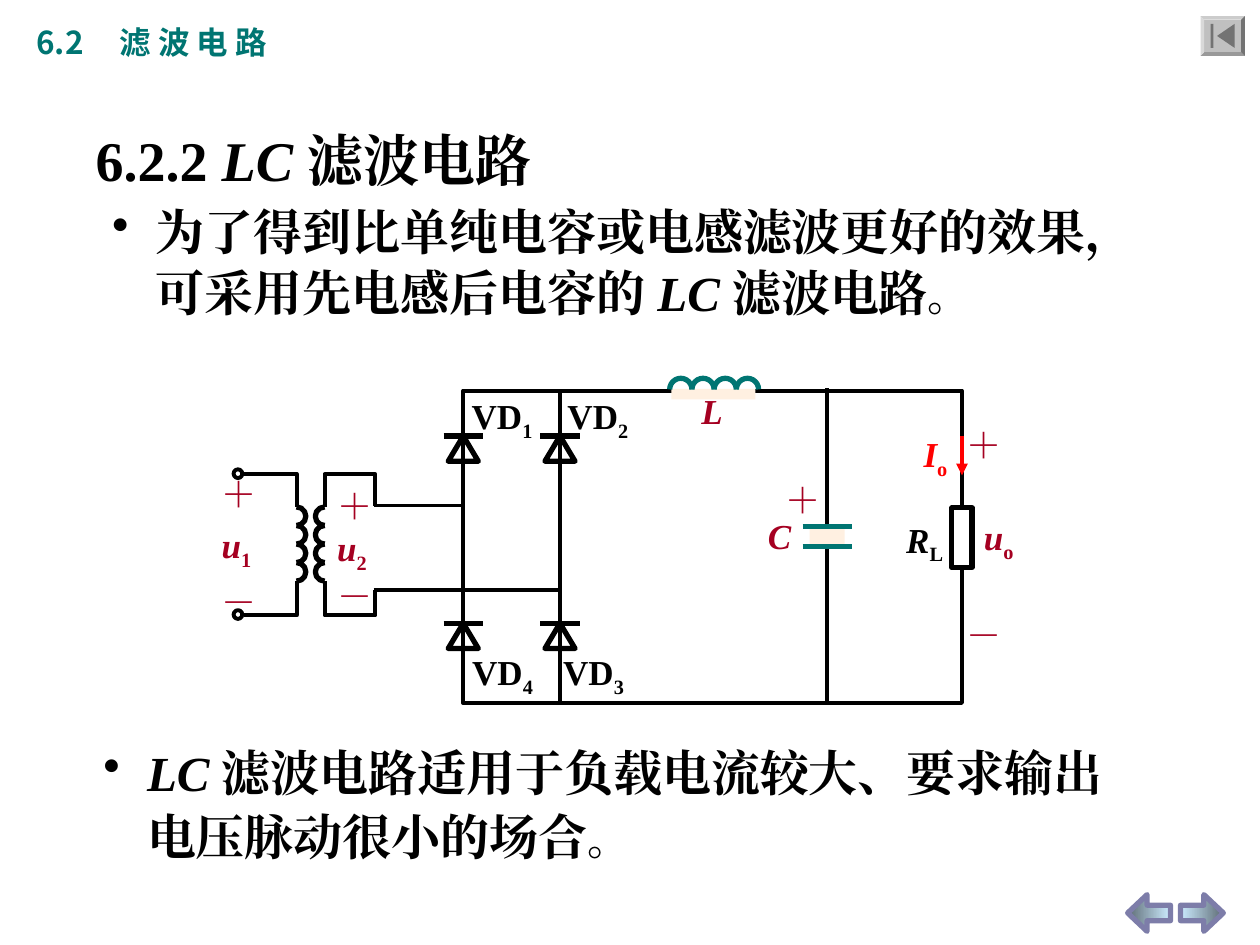
from lxml import etree
from pptx import Presentation
from pptx.dml.color import RGBColor
from pptx.enum.shapes import MSO_CONNECTOR, MSO_SHAPE
from pptx.enum.text import MSO_ANCHOR
from pptx.oxml.ns import qn
from pptx.util import Pt

BLACK, CRIMSON, RED, TEAL, CREAM = "000000", "A50021", "FF0000", "007572", "FFF0E1"
SERIF, SANS = "Times New Roman", "Noto Sans CJK SC"
ITALIC, SUB = {"italic": True}, {"sub": True}
# Start and end angles of half circles, in units of 1/600 degree times 1000
RIGHT_HALF, LEFT_HALF, TOP_HALF = (162, 54), (54, 162), (108, 0)


def rgb(hex_color):
    return RGBColor.from_string(hex_color)


def add_text(slide, box, paragraphs, size=20, color=BLACK, font=SERIF, gap=0,
             indents=None, bullet=False, tab=None, anchor=MSO_ANCHOR.TOP):
    """Each paragraph is a list of (text, format) runs; gap separates paragraphs."""
    frame = slide.shapes.add_textbox(*map(Pt, box)).text_frame
    frame.word_wrap = False
    frame.vertical_anchor = anchor
    for index, runs in enumerate(paragraphs):
        paragraph = frame.paragraphs[0] if index == 0 else frame.add_paragraph()
        if index:
            paragraph.space_before = Pt(gap)
        props = paragraph._p.get_or_add_pPr()
        if indents:
            props.set("marL", str(Pt(indents[index])))
        if bullet and index == 0:
            props.set("indent", str(-Pt(indents[0])))
            etree.SubElement(props, qn("a:buChar"), char="•")
        if tab:
            stops = etree.SubElement(props, qn("a:tabLst"))
            etree.SubElement(stops, qn("a:tab"), pos=str(Pt(tab)), algn="l")
        for words, style in runs:
            run = paragraph.add_run()
            run.text = words
            run.font.size = Pt(style.get("size", size))
            run.font.bold = True
            run.font.italic = style.get("italic", False)
            run.font.color.rgb = rgb(color)
            run.font.name = font
            run_props = run.font._element
            etree.SubElement(run_props, qn("a:ea"), typeface=font)
            if style.get("sub"):
                run_props.set("baseline", "-25000")


def add_shape(slide, kind, box, fill=None, line=None, width=3, adjust=()):
    shape = slide.shapes.add_shape(kind, *map(Pt, box))
    shape.shadow.inherit = False
    for index, value in enumerate(adjust):
        shape.adjustments[index] = value
    paint(shape, fill, line, width)
    return shape


def paint(shape, fill, line, width):
    if fill:
        shape.fill.solid()
        shape.fill.fore_color.rgb = rgb(fill)
    else:
        shape.fill.background()
    if line:
        shape.line.color.rgb = rgb(line)
        shape.line.width = Pt(width)
    else:
        shape.line.fill.background()


def add_line(slide, start, end, color=BLACK, width=2.25, arrow=False):
    line = slide.shapes.add_connector(MSO_CONNECTOR.STRAIGHT, *map(Pt, (*start, *end)))
    line.line.color.rgb = rgb(color)
    line.line.width = Pt(width)
    if arrow:
        etree.SubElement(line.line._get_or_add_ln(), qn("a:tailEnd"), type="triangle")
    etree.SubElement(line._element.spPr, qn("a:effectLst"))


def add_wire(slide, points):
    first, *rest = [(Pt(x), Pt(y)) for x, y in points]
    builder = slide.shapes.build_freeform(*first)
    builder.add_line_segments(rest, close=False)
    wire = builder.convert_to_shape()
    wire.shadow.inherit = False
    paint(wire, None, BLACK, 2.25)


def add_coil(slide, left, top, turn, step, half, color):
    """Four half circles of diameter turn, each moved on by step = (dx, dy)."""
    for n in range(4):
        add_shape(slide, MSO_SHAPE.ARC,
                  (left + n * step[0], top + n * step[1], turn, turn),
                  line=color, adjust=half)


def add_polarity(slide, box, subscript, gap, indent=0):
    add_text(slide, box, [[("＋", {})], [("u", ITALIC), (subscript, SUB)], [("－", {})]],
             color=CRIMSON, gap=gap, indents=(0, indent, 0))


def add_transformer(slide, left, top):
    coil_top, turn = top + 23.5, 10.6
    coil_end = coil_top + 4 * turn
    upper, lower = top + 4.7, top + 85.4
    primary, secondary, outlet = left + 50, left + 66, left + 95
    for y in (upper - 2.7, lower - 2.9):
        add_shape(slide, MSO_SHAPE.OVAL, (left + 14, y, 5, 5), line=BLACK, width=2.25)
    for y, coil_y in ((upper, coil_top), (lower, coil_end)):
        add_wire(slide, [(left + 19.7, y), (primary, y), (primary, coil_y)])
    for y, coil_y, lead_y, lead_end in ((upper, coil_top, top + 22.7, left + 145),
                                        (lower, coil_end, top + 71, left + 200.3)):
        add_wire(slide, [(outlet, lead_y), (outlet, y), (secondary, y), (secondary, coil_y)])
        add_line(slide, (outlet - 1, lead_y), (lead_end, lead_y))
    for x, half in ((primary, RIGHT_HALF), (secondary, LEFT_HALF)):
        add_coil(slide, x - turn / 2, coil_top, turn, (0, turn), half, BLACK)
    add_polarity(slide, (left, top + 0.5, 34.5, 93), "1", 5)
    add_polarity(slide, (left + 66, top + 7, 34.5, 83), "2", 0)


def add_bridge(slide, left, top, height):
    branch = left + 55.3
    add_line(slide, (branch, top), (branch, top + height))
    for x in (left, branch):
        for y in (top + 26, top + 133):
            add_line(slide, (x - 11.2, y), (x + 11.2, y), width=3)
            add_shape(slide, MSO_SHAPE.ISOSCELES_TRIANGLE, (x - 8.6, y, 17.2, 14.4), line=BLACK)
    for number, dx, dy in (("1", -2.3, -1.3), ("2", 52.5, -1.3),
                           ("3", 50, 145), ("4", -2, 145)):
        add_text(slide, (left + dx, top + dy, 49, 34.5), [[("VD", {}), (number, SUB)]])


def add_inductor(slide, left, top):
    turn = 12.7
    add_text(slide, (left + 11, top + 3, 31.7, 31.7), [[("L", ITALIC)]], color=CRIMSON)
    add_shape(slide, MSO_SHAPE.RECTANGLE, (left + 1, top + 6, 48, 6), fill=CREAM)
    add_coil(slide, left, top, turn, (turn, 0), TOP_HALF, TEAL)


def add_capacitor(slide, center, top, height):
    upper, lower = top + 79, top + 90.5
    add_line(slide, (center, top), (center, top + height))
    add_shape(slide, MSO_SHAPE.RECTANGLE, (center - 10, upper, 20, lower - upper), fill=CREAM)
    for y in (upper, lower):
        add_line(slide, (center - 14, y), (center + 14, y), TEAL, 3)
    add_text(slide, (center - 41, top + 68.3, 32.4, 31.7), [[("C", ITALIC)]], color=CRIMSON)
    add_text(slide, (center - 31, top + 48.2, 34.5, 31.7), [[("＋", {})]], color=CRIMSON)


def add_load(slide, center, top):
    add_shape(slide, MSO_SHAPE.RECTANGLE, (center - 5.8, top + 67, 11.6, 34),
              fill="FFFFFF", line=BLACK)
    add_line(slide, (center, top + 26), (center, top + 48.5), RED, arrow=True)
    add_text(slide, (center - 29, top + 20.3, 28, 34.5), [[("I", ITALIC), ("o", SUB)]], color=RED)
    add_text(slide, (center - 39, top + 69.3, 35.3, 34.5), [[("R", ITALIC), ("L", SUB)]])
    add_polarity(slide, (center - 4.5, top + 15.3, 44, 140), "o", 28.5, indent=10)


def add_circuit(slide, box):
    left, top, width, height = box
    add_shape(slide, MSO_SHAPE.RECTANGLE, box, line=BLACK, width=2.25)
    add_transformer(slide, left - 145.2, top + 43)
    add_bridge(slide, left, top, height)
    add_inductor(slide, left + 118, top - 7)
    add_capacitor(slide, left + 208, top - 1.3, height + 2.6)
    add_load(slide, left + width, top)


def add_navigation(slide, left, top):
    for kind, x, angle in ((MSO_SHAPE.RIGHT_ARROW, left + 30.2, 180),
                           (MSO_SHAPE.LEFT_ARROW, left, 0)):
        arrow = add_shape(slide, kind, (x, top, 24.5, 21), line="7D7DA9", adjust=(0.42, 0.53))
        arrow.fill.gradient()
        arrow.fill.gradient_angle = angle
        for stop, color, place in zip(arrow.fill.gradient_stops, ("5E6C75", "CCECFF"), (0, 1)):
            stop.color.rgb = rgb(color)
            stop.position = place


def add_start_button(slide, box):
    left, top, width, height = box
    add_shape(slide, MSO_SHAPE.BEVEL, box, fill="C0C0C0", adjust=(0.09,))
    icon_top, icon_height = top + 4.5, height - 9
    add_shape(slide, MSO_SHAPE.RECTANGLE, (left + 5.8, icon_top, 1.6, icon_height), fill="737373")
    pointer = add_shape(slide, MSO_SHAPE.ISOSCELES_TRIANGLE,
                        (left + 7.6, icon_top + 1.8, icon_height, 10), fill="737373")
    pointer.rotation = 270


def main():
    deck = Presentation()
    deck.slide_width, deck.slide_height = Pt(720), Pt(540)
    slide = deck.slides.add_slide(deck.slide_layouts[6])
    add_text(slide, (13.7, 9.4, 158.4, 28.8), [[("6.2\t滤 波 电 路", {})]],
             size=18, color=TEAL, font=SANS, tab=47.5)
    add_start_button(slide, (686, 9.2, 25.3, 22.7))
    add_text(slide, (47.5, 67.7, 303, 46),
             [[("6.2.2", {}), (" LC ", ITALIC), ("滤波电路", {})]],
             size=32, anchor=MSO_ANCHOR.MIDDLE)
    add_text(slide, (57, 111.6, 611, 76.3),
             [[("为了得到比单纯电容或电感滤波更好的效果，", {})],
              [("可采用先电感后电容的 ", {}), ("LC ", ITALIC), ("滤波电路", {}),
               ("。", {"size": 24})]],
             size=28, gap=1.5, indents=(25, 25), bullet=True)
    add_circuit(slide, (264.7, 223.2, 285, 178.5))
    add_text(slide, (52, 420.5, 612, 77.8),
             [[("LC ", ITALIC), ("滤波电路适用于负载电流较大、要求输出", {})],
              [("电压脉动很小的场合", {}), ("。", {"size": 24})]],
             size=28, gap=3, indents=(25, 25), bullet=True)
    add_navigation(slide, 644.4, 511.2)
    deck.save("out.pptx")


if __name__ == "__main__":
    main()
